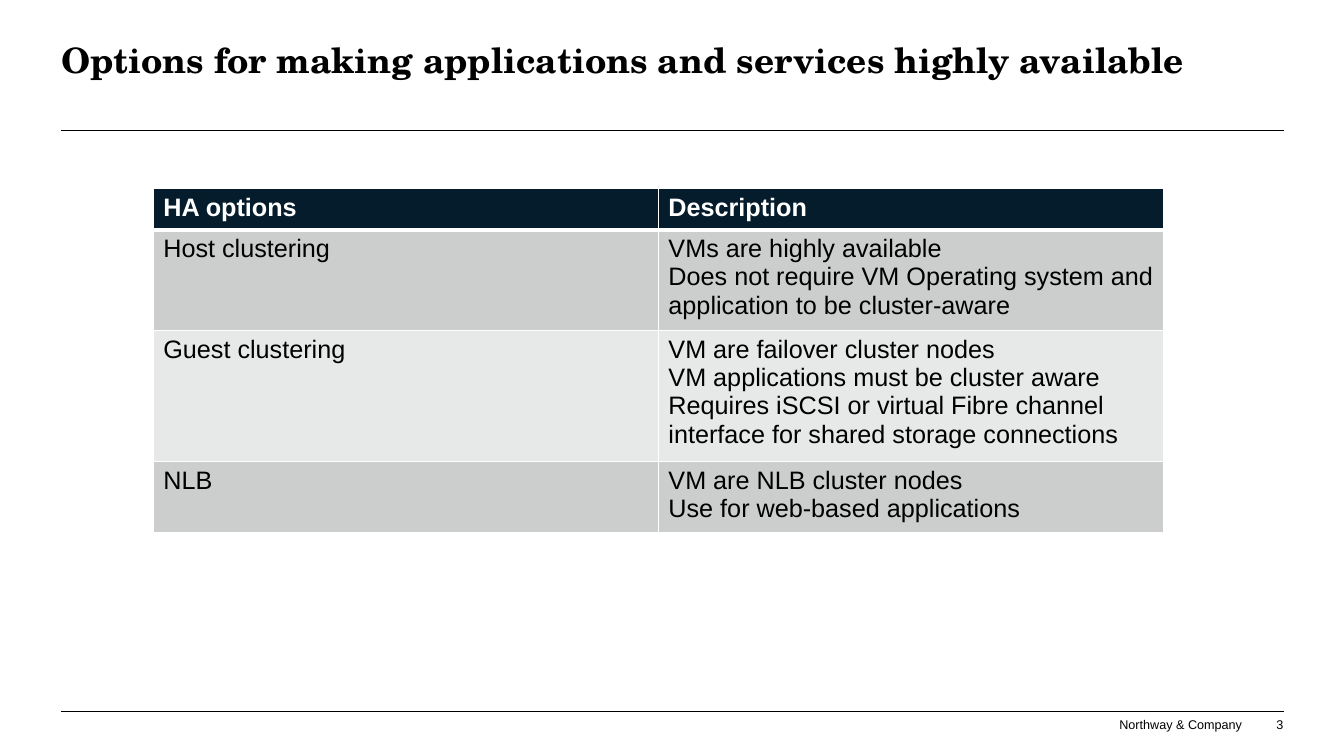
import pptx
import pptx.util
import pptx.dml.color
import pptx.enum.shapes
import pptx.enum.text
import pptx.oxml.ns
import lxml.etree
from dataclasses import dataclass

# Content
TITLE = "Options for making applications and services highly available"
HEADINGS = ["HA options", "Description"]
OPTIONS = [
    ("Host clustering", [
        "VMs are highly available",
        "Does not require VM Operating system and application to be cluster-aware"]),
    ("Guest clustering", [
        "VM are failover cluster nodes",
        "VM applications must be cluster aware",
        "Requires iSCSI or virtual Fibre channel interface for shared storage connections"]),
    ("NLB", [
        "VM are NLB cluster nodes",
        "Use for web-based applications"]),
]
COMPANY = "Northway & Company"
PAGE = "3"


@dataclass(frozen=True)
class Theme:
    title_font: str = "TeX Gyre Schola"
    body_font: str = "Arial"
    title_size: float = 25
    table_size: float = 18
    footer_size: float = 9
    ink: str = "000000"
    white: str = "FFFFFF"
    header_fill: str = "051C2C"
    band_fills: tuple = ("CCCDCD", "E7E8E8")
    rule_width: float = 0.5
    border_width: float = 1
    header_border_width: float = 3


THEME = Theme()

# Layout in inches
WIDTH, HEIGHT = 13.33, 7.5
LEFT, RIGHT = 0.61, 12.73
RULES = (7.06, 1.29)
TABLE_LEFT, TABLE_TOP = 1.52, 1.87
COLUMN_WIDTH, ROW_HEIGHT = 5.01, 0.41
FOOTER_TOP, FOOTER_HEIGHT = 7.11, 0.15

Inches = pptx.util.Inches
Pt = pptx.util.Pt
Align = pptx.enum.text.PP_ALIGN
Anchor = pptx.enum.text.MSO_ANCHOR
rgb = pptx.dml.color.RGBColor.from_string
qn = pptx.oxml.ns.qn


def write(frame, lines, font, size, color, bold=False, align=Align.LEFT):
    for index, line in enumerate(lines):
        paragraph = frame.paragraphs[0] if index == 0 else frame.add_paragraph()
        paragraph.alignment = align
        run = paragraph.add_run()
        run.text = line
        run.font.name = font
        run.font.size = Pt(size)
        run.font.bold = bold
        run.font.color.rgb = rgb(color)


def clear_margins(frame):
    frame.margin_left = frame.margin_right = 0
    frame.margin_top = frame.margin_bottom = 0


def add_rule(slide, y):
    rule = slide.shapes.add_connector(
        pptx.enum.shapes.MSO_CONNECTOR.STRAIGHT,
        Inches(LEFT), Inches(y), Inches(RIGHT), Inches(y))
    rule.line.color.rgb = rgb(THEME.ink)
    rule.line.width = Pt(THEME.rule_width)
    lxml.etree.SubElement(rule._element.spPr, qn("a:effectLst"))


def add_footer(slide, text, left, width, align, wrap):
    box = slide.shapes.add_textbox(
        Inches(left), Inches(FOOTER_TOP), Inches(width), Inches(FOOTER_HEIGHT))
    frame = box.text_frame
    clear_margins(frame)
    frame.word_wrap = wrap
    frame.vertical_anchor = Anchor.BOTTOM
    write(frame, [text], THEME.body_font, THEME.footer_size, THEME.ink, align=align)


def set_borders(cell, widths):
    # Border elements come before the fill, in the order left, right, top, bottom
    properties = cell._tc.get_or_add_tcPr()
    for index, (side, width) in enumerate(zip("LRTB", widths)):
        border = lxml.etree.Element(qn(f"a:ln{side}"), w=str(Pt(width)))
        fill = lxml.etree.SubElement(border, qn("a:solidFill"))
        lxml.etree.SubElement(fill, qn("a:srgbClr"), val=THEME.white)
        properties.insert(index, border)


def add_options_table(slide):
    rows = [[[heading] for heading in HEADINGS]]
    rows += [[[name], description] for name, description in OPTIONS]
    columns = len(HEADINGS)
    table = slide.shapes.add_table(
        len(rows), columns, Inches(TABLE_LEFT), Inches(TABLE_TOP),
        Inches(COLUMN_WIDTH * columns), Inches(ROW_HEIGHT * len(rows))).table
    thin, thick = THEME.border_width, THEME.header_border_width
    for row_index, row in enumerate(rows):
        table.rows[row_index].height = Inches(ROW_HEIGHT)
        header = row_index == 0
        fill = THEME.header_fill if header else THEME.band_fills[(row_index - 1) % 2]
        top = thick if row_index == 1 else thin
        bottom = thick if header else thin
        for column_index, lines in enumerate(row):
            cell = table.cell(row_index, column_index)
            cell.fill.solid()
            cell.fill.fore_color.rgb = rgb(fill)
            set_borders(cell, (thin, thin, top, bottom))
            write(cell.text_frame, lines, THEME.body_font, THEME.table_size,
                  THEME.white if header else THEME.ink, bold=header)


def main():
    presentation = pptx.Presentation()
    presentation.slide_width = Inches(WIDTH)
    presentation.slide_height = Inches(HEIGHT)
    slide = presentation.slides.add_slide(presentation.slide_layouts[5])

    # Footer and rules
    add_footer(slide, COMPANY, 11.09, 1.24, Align.CENTER, False)
    for y in RULES:
        add_rule(slide, y)
    add_footer(slide, PAGE, 12.37, 0.36, Align.RIGHT, True)

    # Title
    title = slide.shapes.title
    title.left, title.top = Inches(LEFT), Inches(0.43)
    title.width, title.height = Inches(11.39), Inches(0.76)
    frame = title.text_frame
    clear_margins(frame)
    frame.word_wrap = True
    frame.auto_size = pptx.enum.text.MSO_AUTO_SIZE.NONE
    frame.vertical_anchor = Anchor.TOP
    write(frame, [TITLE], THEME.title_font, THEME.title_size, THEME.ink, bold=True)
    frame.paragraphs[0].line_spacing = 0.9

    # Options table
    add_options_table(slide)
    presentation.save("out.pptx")


if __name__ == "__main__":
    main()
